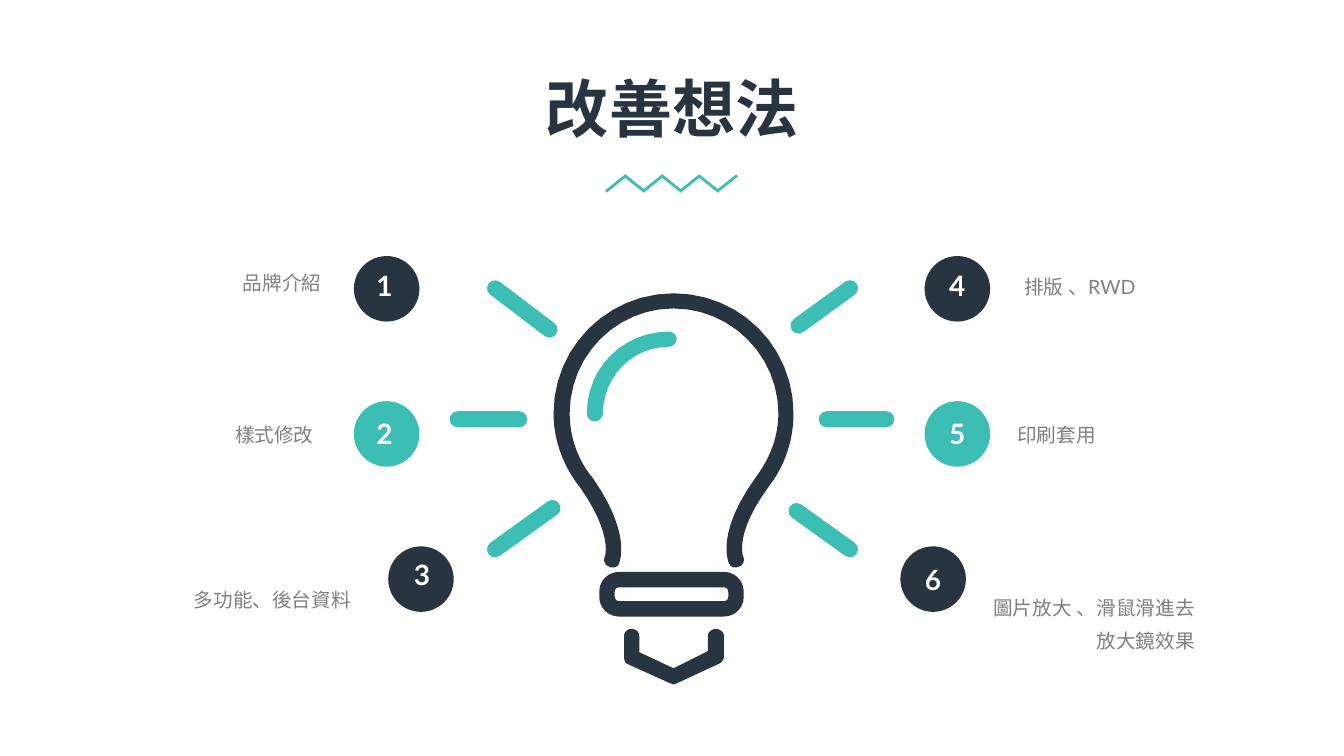
import math
from dataclasses import dataclass

from lxml import etree
from pptx import Presentation
from pptx.dml.color import RGBColor
from pptx.enum.shapes import MSO_CONNECTOR, MSO_SHAPE
from pptx.enum.text import MSO_ANCHOR, MSO_AUTO_SIZE, PP_ALIGN
from pptx.oxml.ns import qn
from pptx.util import Inches, Pt

LEFT, CENTER, RIGHT = PP_ALIGN.LEFT, PP_ALIGN.CENTER, PP_ALIGN.RIGHT
ELLIPSE, ROUNDED = MSO_SHAPE.OVAL, MSO_SHAPE.ROUNDED_RECTANGLE
STRAIGHT = MSO_CONNECTOR.STRAIGHT


@dataclass(frozen=True)
class Theme:
    navy: RGBColor = RGBColor.from_string("283440")
    teal: RGBColor = RGBColor.from_string("3CBEB4")
    grey: RGBColor = RGBColor.from_string("808080")
    white: RGBColor = RGBColor.from_string("FFFFFF")
    title_font: str = "Noto Sans CJK SC"
    body_font: str = "Lato"
    title_size: int = 45
    number_size: int = 20
    label_size: int = 14


THEME = Theme()

deck = Presentation()
deck.slide_width, deck.slide_height = Inches(13.33), Inches(7.5)
page = deck.slides.add_slide(deck.slide_layouts[5])


def write_text(box, text, *, size, color, font=THEME.body_font, bold=False,
               align=LEFT, spacing=None, fit=MSO_AUTO_SIZE.SHAPE_TO_FIT_TEXT):
    """Fill a box with one paragraph per line of text."""
    frame = box.text_frame
    frame.word_wrap = True
    frame.auto_size = fit
    for index, line in enumerate(text.split("\n")):
        para = frame.paragraphs[0] if index == 0 else frame.add_paragraph()
        para.alignment = align
        if spacing:
            para.line_spacing = Pt(spacing)
        span = para.add_run()
        span.text = line
        span.font.size, span.font.bold = Pt(size), bold
        span.font.color.rgb = color
        span.font.name = font
        east_asian = etree.SubElement(span.font._element, qn("a:ea"))
        east_asian.set("typeface", font)


def draw_outline(start, steps, color):
    """Draw a filled outline; a step is a line (x, y) or a Bezier curve (6 numbers)."""
    points, (x, y) = [], start
    for step in steps:
        if len(step) == 2:
            points.append(step)
        else:
            x1, y1, x2, y2, x3, y3 = step
            for part in range(1, 13):
                t = part / 12
                a, b, c, d = (1 - t) ** 3, 3 * t * (1 - t) ** 2, 3 * t * t * (1 - t), t ** 3
                points.append((a * x + b * x1 + c * x2 + d * x3,
                               a * y + b * y1 + c * y2 + d * y3))
        x, y = step[-2:]
    builder = page.shapes.build_freeform(Inches(start[0]), Inches(start[1]))
    builder.add_line_segments([(Inches(px), Inches(py)) for px, py in points])
    outline = builder.convert_to_shape()
    outline.shadow.inherit = False
    outline.fill.solid()
    outline.fill.fore_color.rgb = color
    outline.line.fill.background()


# Title
title = page.shapes.title
title.left, title.top, title.width, title.height = 0, Inches(0.63), Inches(13.33), Inches(0.86)
title.text_frame.vertical_anchor = MSO_ANCHOR.MIDDLE
write_text(title, "改善想法", size=THEME.title_size, color=THEME.navy, bold=True,
           font=THEME.title_font, align=CENTER, fit=MSO_AUTO_SIZE.NONE)

# Zigzag under the title
for index in range(7):
    left = 6.01 + index * 1.1 / 6
    begin_y, end_y = (1.9, 1.74) if index % 2 == 0 else (1.74, 1.9)
    stroke = page.shapes.add_connector(STRAIGHT, Inches(left), Inches(begin_y),
                                       Inches(left + 0.2), Inches(end_y))
    stroke.line.color.rgb = THEME.teal
    stroke.line.width = Pt(2)
    etree.SubElement(stroke._element.spPr, qn("a:effectLst"))

# Light bulb: gloss, glass and tip
draw_outline((6.71, 3.36), [
    (6.71, 3.32, 6.67, 3.29, 6.63, 3.29), (6.18, 3.29, 5.82, 3.65, 5.82, 4.1),
    (5.82, 4.14, 5.85, 4.18, 5.9, 4.18), (5.94, 4.18, 5.98, 4.14, 5.98, 4.1),
    (5.98, 3.74, 6.27, 3.44, 6.63, 3.44), (6.67, 3.44, 6.71, 3.41, 6.71, 3.36),
], THEME.teal)
draw_outline((5.49, 4.1), [
    (5.49, 4.36, 5.58, 4.61, 5.74, 4.82), (5.75, 4.83),
    (6.08, 5.3, 6, 5.52, 6, 5.52), (5.98, 5.56, 6, 5.61, 6.04, 5.62),
    (6.05, 5.63, 6.06, 5.63, 6.07, 5.63), (6.1, 5.63, 6.13, 5.62, 6.14, 5.59),
    (6.15, 5.56, 6.26, 5.28, 5.87, 4.73), (5.86, 4.72),
    (5.72, 4.54, 5.65, 4.32, 5.65, 4.1), (5.65, 3.53, 6.11, 3.06, 6.68, 3.06),
    (7.25, 3.06, 7.72, 3.53, 7.72, 4.1), (7.72, 4.33, 7.64, 4.54, 7.5, 4.73),
    (7.1, 5.28, 7.22, 5.56, 7.23, 5.59), (7.25, 5.63, 7.29, 5.64, 7.33, 5.62),
    (7.37, 5.61, 7.39, 5.56, 7.37, 5.52), (7.37, 5.52, 7.28, 5.29, 7.63, 4.82),
    (7.79, 4.61, 7.87, 4.36, 7.87, 4.1), (7.87, 3.44, 7.34, 2.91, 6.68, 2.91),
    (6.03, 2.91, 5.49, 3.44, 5.49, 4.1),
], THEME.navy)
draw_outline((6.26, 6.24), [
    (6.22, 6.24, 6.19, 6.27, 6.19, 6.31), (6.19, 6.52),
    (6.19, 6.55, 6.2, 6.58, 6.23, 6.59), (6.65, 6.78),
    (6.66, 6.78, 6.67, 6.79, 6.68, 6.79), (6.69, 6.79, 6.7, 6.78, 6.71, 6.78),
    (7.14, 6.58), (7.16, 6.57, 7.18, 6.54, 7.18, 6.51), (7.18, 6.31),
    (7.18, 6.27, 7.14, 6.24, 7.1, 6.24), (7.06, 6.24, 7.02, 6.27, 7.02, 6.31),
    (7.02, 6.46), (6.68, 6.63), (6.34, 6.47), (6.34, 6.31),
    (6.34, 6.27, 6.31, 6.24, 6.26, 6.24),
], THEME.navy)

# Light bulb: screw base
base = page.shapes.add_shape(ROUNDED, Inches(6.02), Inches(5.75), Inches(1.28), Inches(0.29))
base.adjustments[0] = 0.41
base.shadow.inherit = False
base.fill.background()
base.line.color.rgb = THEME.navy
base.line.width = Pt(11)

# Rays, given by the centres of their round ends
RAY_WIDTH = 0.16
for x1, y1, x2, y2 in [
    (4.91, 2.86, 5.45, 3.27), (4.54, 4.16, 5.15, 4.16), (4.91, 5.45, 5.48, 5.04),
    (7.92, 3.23, 8.43, 2.86), (8.2, 4.16, 8.79, 4.16), (7.9, 5.07, 8.43, 5.45),
]:
    length = math.hypot(x2 - x1, y2 - y1) + RAY_WIDTH
    ray = page.shapes.add_shape(
        ROUNDED, Inches((x1 + x2 - length) / 2), Inches((y1 + y2 - RAY_WIDTH) / 2),
        Inches(length), Inches(RAY_WIDTH))
    ray.adjustments[0] = 0.5
    ray.rotation = math.degrees(math.atan2(y2 - y1, x2 - x1))
    ray.shadow.inherit = False
    ray.fill.solid()
    ray.fill.fore_color.rgb = THEME.teal
    ray.line.fill.background()

# Numbered ideas: circle corner, number corner, label box, alignment, label
IDEAS = [
    ((3.51, 2.54), (3.53, 2.61), (2.31, 2.55, 1.73, 0.39), LEFT, "品牌介紹"),
    ((3.51, 3.98), (3.53, 4.08), (0.88, 4.06, 2.33, 0.39), RIGHT, "樣式修改"),
    ((3.85, 5.42), (3.9, 5.48), (1.75, 5.7, 1.83, 0.39), RIGHT, "多功能、後台資料"),
    ((9.17, 2.54), (9.21, 2.61), (10.06, 2.59, 2.33, 0.39), LEFT, "排版 、RWD"),
    ((9.17, 3.98), (9.21, 4.08), (9.99, 4.06, 2.47, 0.39), LEFT, "印刷套用"),
    ((8.93, 5.42), (8.97, 5.53), (9.62, 5.78, 2.33, 0.71), RIGHT,
     "圖片放大 、滑鼠滑進去\n放大鏡效果"),
]
for number, (circle_at, number_at, label_at, align, label) in enumerate(IDEAS, start=1):
    circle = page.shapes.add_shape(ELLIPSE, *map(Inches, circle_at), Inches(0.65), Inches(0.65))
    circle.shadow.inherit = False
    circle.fill.solid()
    circle.fill.fore_color.rgb = THEME.teal if number in (2, 5) else THEME.navy
    circle.line.fill.background()
    number_box = page.shapes.add_textbox(*map(Inches, number_at), Inches(0.57), Inches(0.44))
    write_text(number_box, str(number), size=THEME.number_size, color=THEME.white,
               bold=True, align=CENTER)
    label_box = page.shapes.add_textbox(*map(Inches, label_at))
    write_text(label_box, label, size=THEME.label_size, color=THEME.grey,
               align=align, spacing=23)

deck.save("out.pptx")
